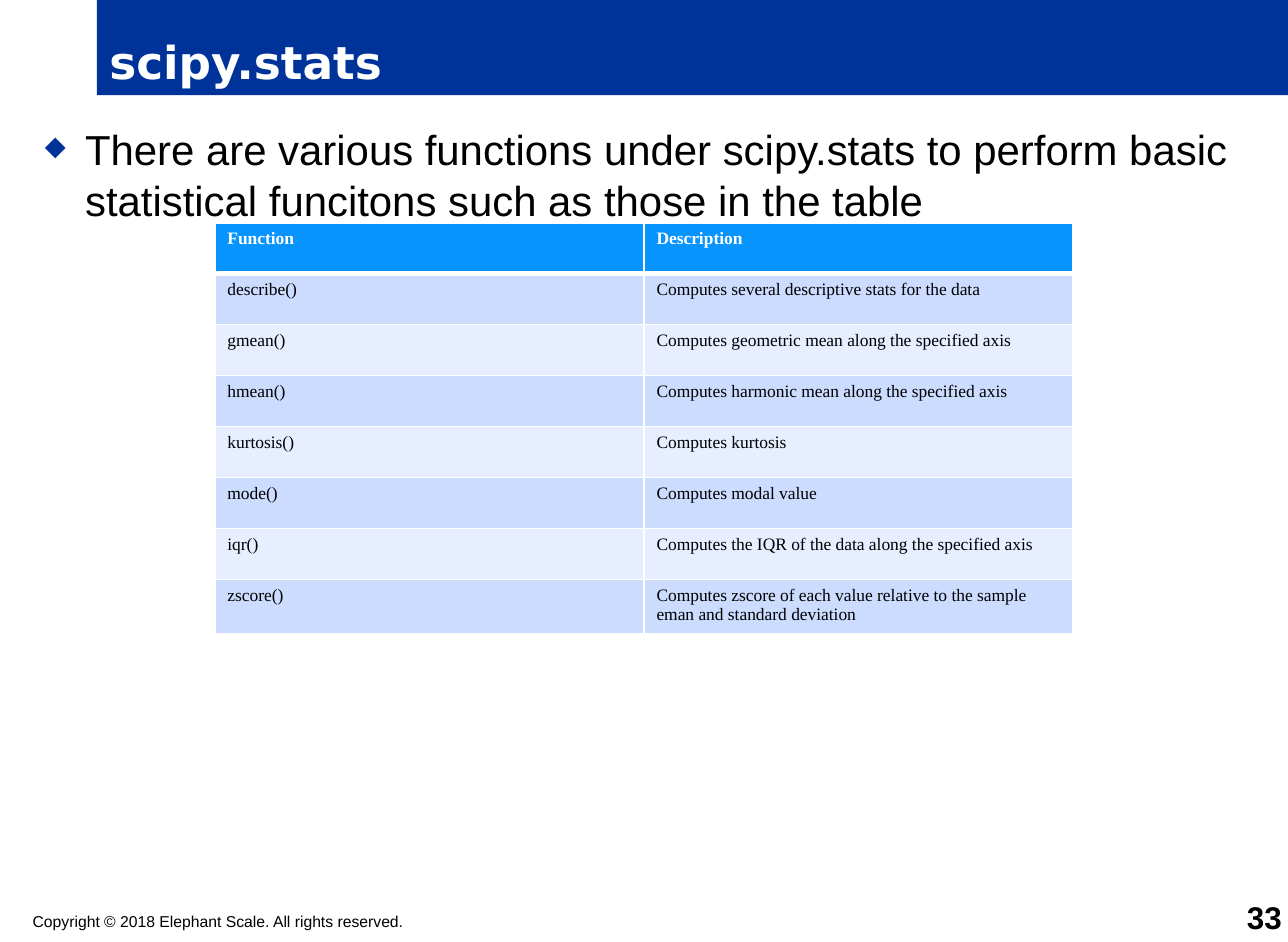
"""Build the scipy.stats slide with its table of functions."""
from dataclasses import dataclass

from lxml import etree
from pptx import Presentation
from pptx import util as u
from pptx.dml.color import RGBColor
from pptx.enum import shapes, text
from pptx.oxml import ns

HUES = {"navy": "003399", "white": "FFFFFF", "black": "000000",
        "head": "0794FF", "dark": "CCDCFF", "light": "E7EEFF"}
ROWS = [
    ("Function", "Description"),
    ("describe()", "Computes several descriptive stats for the data"),
    ("gmean()", "Computes geometric mean along the specified axis"),
    ("hmean()", "Computes harmonic mean along the specified axis"),
    ("kurtosis()", "Computes kurtosis"),
    ("mode()", "Computes modal value"),
    ("iqr()", "Computes the IQR of the data along the specified axis"),
    ("zscore()", "Computes zscore of each value relative to the sample "
                 "eman and standard deviation"),
]


@dataclass
class Font:
    size: float
    face: str = "Arial"
    hue: str = "black"
    bold: bool = False


@dataclass
class Label:
    words: str
    box: tuple[float, float, float, float]
    font: Font
    pad: tuple[float, float] = (0, 0)
    base: bool = False
    right: bool = False
    fill: str = ""
    mark: str = ""


LABELS = [
    Label("scipy.stats", (55.6, 0, 682.4, 54.5),
          Font(26, "DejaVu Sans", "white", True), (7.2, 3.6), base=True, fill="navy"),
    Label("There are various functions under scipy.stats to perform basic "
          "statistical funcitons such as those in the table",
          (18.7, 67.5, 701.3, 441.5), Font(24), (7.2, 3.6), mark="◆"),
    Label("Copyright © 2018 Elephant Scale. All rights reserved.",
          (18.7, 522.7, 428.4, 10.8), Font(9)),
    Label("33", (691.2, 518.4, 43.2, 18), Font(18, bold=True), base=True, right=True),
]


def rgb(hue: str) -> RGBColor:
    return RGBColor.from_string(HUES[hue])


def write(para, words: str, font: Font) -> None:
    run = para.add_run()
    run.text = words
    run.font.size = u.Pt(font.size)
    run.font.name = font.face
    run.font.bold = font.bold
    run.font.color.rgb = rgb(font.hue)


def node(root, tag: str, **attrs: str):
    return etree.SubElement(root, ns.qn(tag), attrs)


def bullet(para, mark: str) -> None:
    props = para._p.get_or_add_pPr()
    props.set("marL", str(u.Pt(23)))
    props.set("indent", str(u.Pt(-23)))
    node(node(props, "a:buClr"), "a:srgbClr", val=HUES["navy"])
    node(props, "a:buSzPct", val="65000")
    node(props, "a:buChar", char=mark)


def draw(slide, label: Label) -> None:
    box = [u.Pt(n) for n in label.box]
    if label.fill:
        shape = slide.shapes.add_shape(shapes.MSO_SHAPE.RECTANGLE, *box)
        shape.shadow.inherit = False
        shape.fill.solid()
        shape.fill.fore_color.rgb = rgb(label.fill)
        shape.line.fill.background()
    else:
        shape = slide.shapes.add_textbox(*box)
    frame = shape.text_frame
    frame.word_wrap = True
    frame.margin_left = frame.margin_right = u.Pt(label.pad[0])
    frame.margin_top = frame.margin_bottom = u.Pt(label.pad[1])
    frame.vertical_anchor = text.MSO_ANCHOR.BOTTOM if label.base else text.MSO_ANCHOR.TOP
    para = frame.paragraphs[0]
    para.alignment = text.PP_ALIGN.RIGHT if label.right else text.PP_ALIGN.LEFT
    if label.mark:
        bullet(para, label.mark)
    write(para, label.words, label.font)


def edge(cell, side: str, width: float) -> None:
    line = node(cell._tc.get_or_add_tcPr(), f"a:ln{side}", w=str(u.Pt(width)))
    node(node(line, "a:solidFill"), "a:srgbClr", val=HUES["white"])


def chart(slide) -> None:
    left, top, wide, high = 123.1, 127.7, 491.8, 29.2
    grid = slide.shapes.add_table(len(ROWS), 2, u.Pt(left), u.Pt(top),
                                  u.Pt(wide), u.Pt(high * len(ROWS))).table
    for row, pair in enumerate(ROWS):
        grid.rows[row].height = u.Pt(high)
        hue = "head" if row == 0 else "dark" if row % 2 else "light"
        font = Font(10, "Times New Roman", "black" if row else "white", row == 0)
        for col, words in enumerate(pair):
            cell = grid.cell(row, col)
            for side in "LRTB":
                thick = (row, side) in ((0, "B"), (1, "T"))
                edge(cell, side, 3 if thick else 1)
            cell.fill.solid()
            cell.fill.fore_color.rgb = rgb(hue)
            write(cell.text_frame.paragraphs[0], words, font)


def main() -> None:
    deck = Presentation()
    deck.slide_width, deck.slide_height = u.Pt(738), u.Pt(540)
    slide = deck.slides.add_slide(deck.slide_layouts[6])
    for label in LABELS:
        draw(slide, label)
    chart(slide)
    deck.save("out.pptx")


if __name__ == "__main__":
    main()
